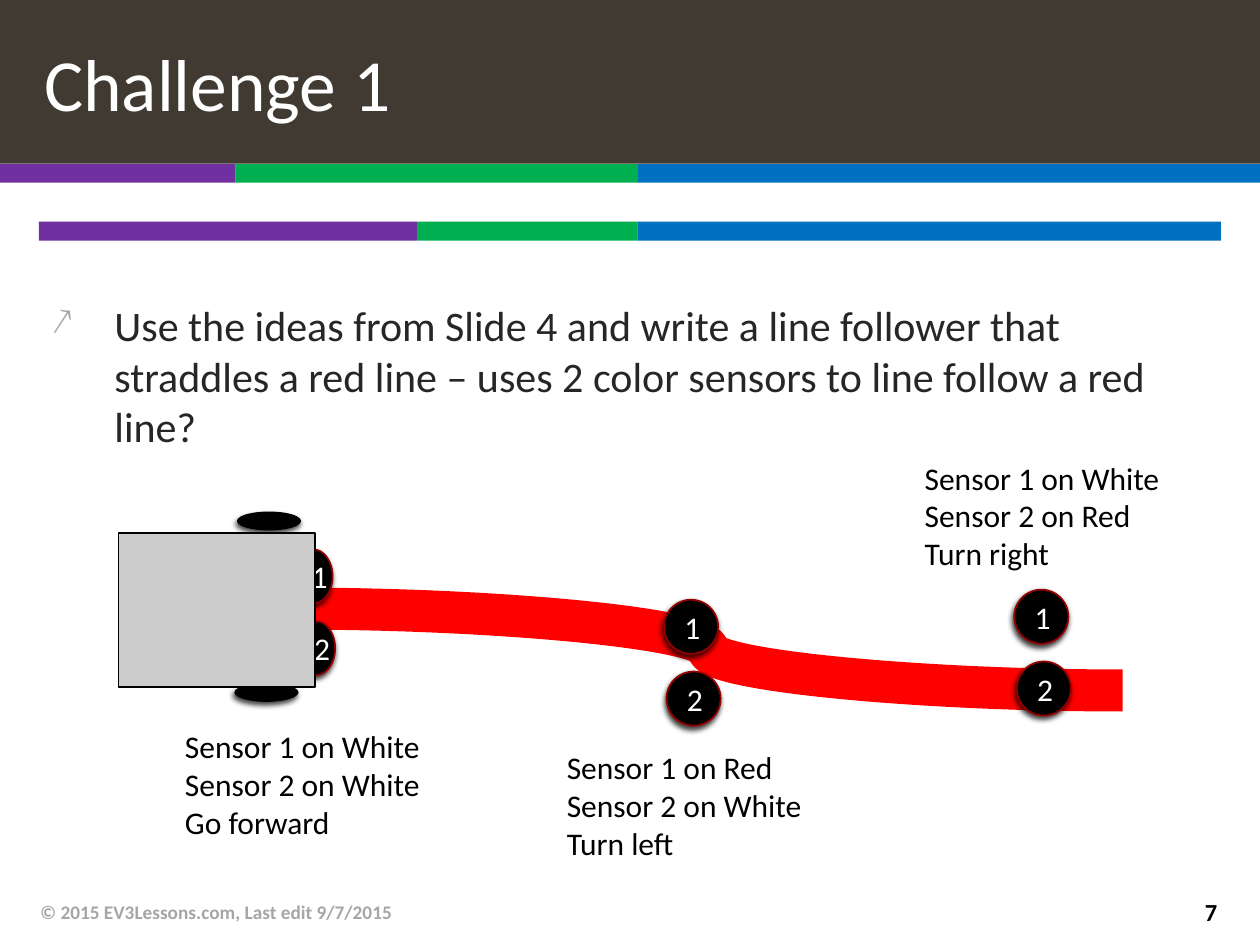
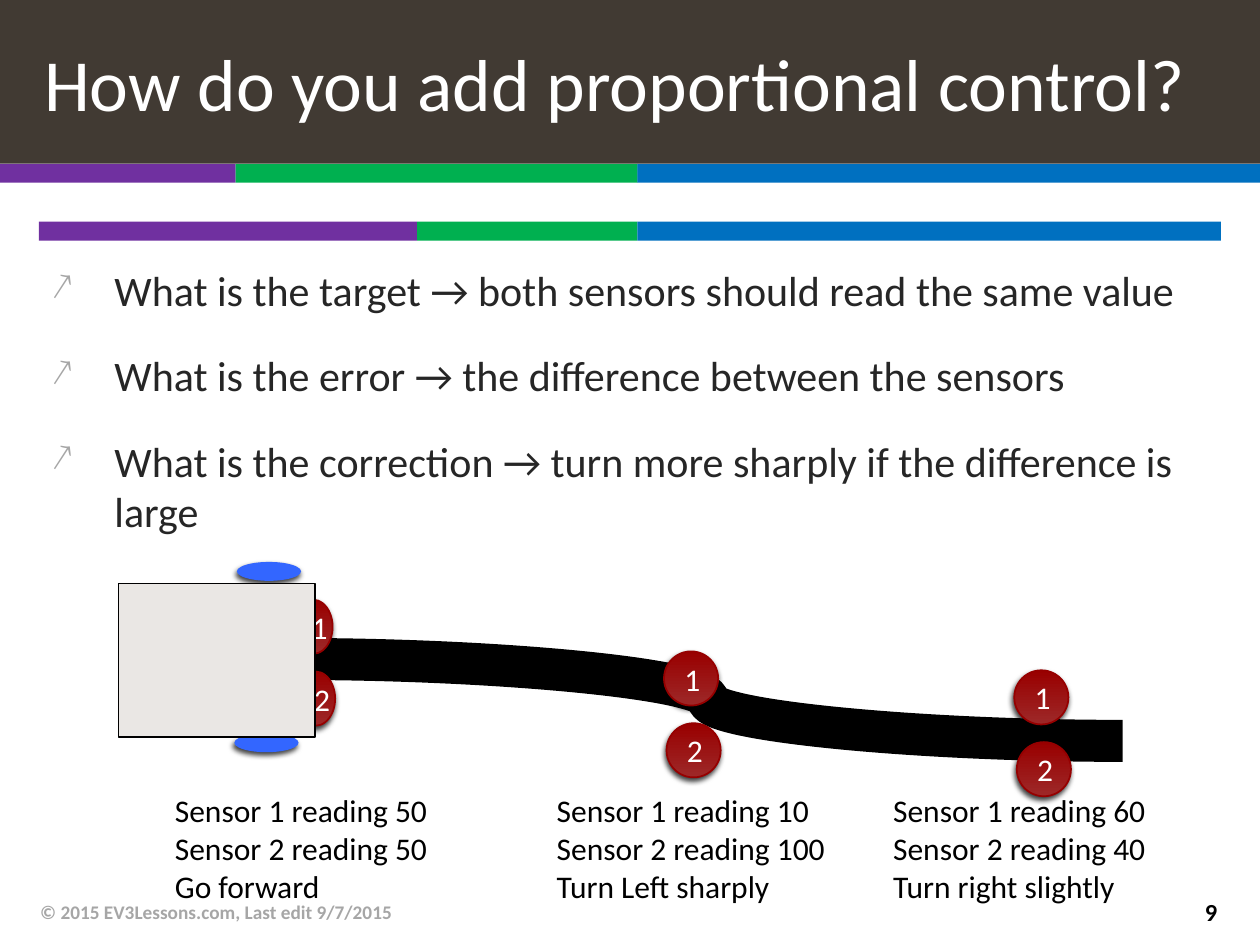
from dataclasses import dataclass
from typing import Optional

from lxml import etree
from pptx import Presentation
from pptx import util as u
from pptx.dml.color import RGBColor
from pptx.enum import shapes, text
from pptx.oxml.ns import qn

FONT = "Calibri"
WHITE, BLACK, GREY, INK = "FFFFFF", "000000", "A6A6A6", "262626"
TITLE_BAR, SENSOR_EDGE = "413A33", "960000"
BAND_COLORS = ("7030A0", "00B050", "0070C0")
FOOTER = "© 2015 EV3Lessons.com, Last edit 9/7/2015"
RECTANGLE = shapes.MSO_SHAPE.RECTANGLE
OVAL = shapes.MSO_SHAPE.OVAL
LEFT, CENTER, RIGHT = text.PP_ALIGN.LEFT, text.PP_ALIGN.CENTER, text.PP_ALIGN.RIGHT
SENSOR_SIZE = 0.43


@dataclass(frozen=True)
class Box:
    left: float
    top: float
    width: float
    height: float

    def lengths(self) -> list:
        return [u.Inches(v) for v in (self.left, self.top, self.width, self.height)]


@dataclass(frozen=True)
class Style:
    size: float
    color: str
    bold: bool = False
    align: text.PP_ALIGN = LEFT


@dataclass(frozen=True)
class Band:
    top: float
    edges: tuple


@dataclass(frozen=True)
class SensorPair:
    left: float
    top: float


@dataclass(frozen=True)
class Label:
    left: float
    top: float
    width: float
    lines: tuple


@dataclass(frozen=True)
class Palette:
    track: str
    sensor: tuple
    wheel: str
    robot: str


@dataclass(frozen=True)
class Lesson:
    number: int
    title: str
    body: Box
    bullets: tuple
    track_top: float
    palette: Palette
    sensors: tuple
    labels: tuple


TITLE_STYLE = Style(42, WHITE)
BODY_STYLE = Style(24, INK)
LABEL_STYLE = Style(18, BLACK)
SENSOR_STYLE = Style(18, WHITE, align=CENTER)
FOOTER_STYLE = Style(11, GREY, bold=True)
NUMBER_STYLE = Style(14, BLACK, bold=True, align=RIGHT)

BANDS = (
    Band(1.3, (0, 1.87, 5.06, 10)),
    Band(1.76, (0.31, 3.31, 5.06, 9.69)),
)

LESSONS = (
    Lesson(
        7, "Challenge 1", Box(0.31, 2.33, 9.38, 1.36),
        ("Use the ideas from Slide 4 and write a line follower that straddles a red line "
         "– uses 2 color sensors to line follow a red line?",),
        4.83, Palette("FF0000", (BLACK,), BLACK, "CCCCCC"),
        (SensorPair(5.27, 4.76), SensorPair(8.05, 4.68)),
        (
            Label(1.37, 5.72, 2.6, ("Sensor 1 on White", "Sensor 2 on White", "Go forward")),
            Label(4.4, 5.89, 2.51, ("Sensor 1 on Red", "Sensor 2 on White", "Turn left")),
            Label(7.24, 3.59, 2.21, ("Sensor 1 on White", "Sensor 2 on Red", "Turn right")),
        ),
    ),
    Lesson(
        9, "How do you add proportional control?", Box(0.31, 2.05, 9.38, 2.83),
        ("What is the target → both sensors should read the same value",
         "What is the error → the difference between the sensors",
         "What is the correction → turn more sharply if the difference is large"),
        5.23, Palette(BLACK, ("9D2828", "990000"), "3366FF", "EAE7E4"),
        (SensorPair(5.27, 5.17), SensorPair(8.05, 5.32)),
        (
            Label(1.29, 6.23, 2.6, ("Sensor 1 reading 50", "Sensor 2 reading 50", "Go forward")),
            Label(4.32, 6.23, 2.51, ("Sensor 1 reading 10", "Sensor 2 reading 100", "Turn Left sharply")),
            Label(6.99, 6.23, 2.21, ("Sensor 1 reading 60", "Sensor 2 reading 40", "Turn right slightly")),
        ),
    ),
)


def rgb(color: str) -> RGBColor:
    return RGBColor.from_string(color)


def write(paragraph, words: str, style: Style) -> None:
    paragraph.alignment = style.align
    run = paragraph.add_run()
    run.text = words
    run.font.name = FONT
    run.font.size = u.Pt(style.size)
    run.font.bold = style.bold
    run.font.color.rgb = rgb(style.color)


def add_text(slide, box: Box, lines: tuple, style: Style, anchor=text.MSO_ANCHOR.TOP):
    frame = slide.shapes.add_textbox(*box.lengths()).text_frame
    frame.word_wrap = True
    frame.vertical_anchor = anchor
    for index, line in enumerate(lines):
        paragraph = frame.add_paragraph() if index else frame.paragraphs[0]
        write(paragraph, line, style)
    return frame


def add_shape(slide, kind, box: Box, fill: tuple, line: Optional[str] = None):
    shape = slide.shapes.add_shape(kind, *box.lengths())
    shape.shadow.inherit = False
    if len(fill) == 1:
        shape.fill.solid()
        shape.fill.fore_color.rgb = rgb(fill[0])
    else:
        shape.fill.gradient()
        shape.fill.gradient_angle = 90
        for stop, color in zip(shape.fill.gradient_stops, fill):
            stop.color.rgb = rgb(color)
    if line:
        shape.line.color.rgb = rgb(line)
        shape.line.width = u.Pt(1)
    else:
        shape.line.fill.background()
    return shape


def add_shadow(shape) -> None:
    effects = shape._element.spPr.find(qn("a:effectLst"))
    shadow = etree.SubElement(effects, qn("a:outerShdw"), blurRad=str(u.Pt(3)),
                              dist=str(u.Pt(2)), dir=str(110 * 60000), rotWithShape="0")
    color = etree.SubElement(shadow, qn("a:srgbClr"), val=BLACK)
    etree.SubElement(color, qn("a:alpha"), val="75000")


def add_bullet(paragraph) -> None:
    properties = paragraph._p.get_or_add_pPr()
    properties.set("marL", str(u.Inches(0.5)))
    properties.set("indent", str(-u.Inches(0.5)))
    color = etree.SubElement(properties, qn("a:buClr"))
    etree.SubElement(color, qn("a:srgbClr"), val=GREY)
    etree.SubElement(properties, qn("a:buSzPct"), val="90000")
    etree.SubElement(properties, qn("a:buChar"), char="↗")


def add_frame(slide, lesson: Lesson) -> None:
    for band in BANDS:
        for start, end, color in zip(band.edges, band.edges[1:], BAND_COLORS):
            add_shape(slide, RECTANGLE, Box(start, band.top, end - start, 0.15), (color,))
    middle = text.MSO_ANCHOR.MIDDLE
    add_text(slide, Box(0.22, 7.04, 6.7, 0.4), (FOOTER,), FOOTER_STYLE, middle)
    add_text(slide, Box(9.07, 7.04, 0.69, 0.39), (str(lesson.number),), NUMBER_STYLE, middle)
    title = add_shape(slide, RECTANGLE, Box(0, 0, 10, 1.3), (TITLE_BAR,))
    title.text_frame.margin_left = u.Inches(0.35)
    write(title.text_frame.paragraphs[0], lesson.title, TITLE_STYLE)


def add_bullets(slide, lesson: Lesson) -> None:
    frame = add_text(slide, lesson.body, lesson.bullets, BODY_STYLE)
    for index, paragraph in enumerate(frame.paragraphs):
        add_bullet(paragraph)
        if index:
            paragraph.space_before = u.Pt(20)


def add_track(slide, top: float, color: str) -> None:
    ends = [u.Inches(v) for v in (2.33, top, 8.91, top + 0.65)]
    track = slide.shapes.add_connector(shapes.MSO_CONNECTOR.CURVE, *ends)
    track.line.color.rgb = rgb(color)
    track.line.width = u.Pt(24)
    etree.SubElement(track._element.spPr, qn("a:effectLst"))


def add_sensors(slide, pair: SensorPair, fill: tuple, width: float = SENSOR_SIZE) -> None:
    for index in range(2):
        box = Box(pair.left + 0.02 * index, pair.top + 0.57 * index, width, SENSOR_SIZE)
        sensor = add_shape(slide, OVAL, box, fill, SENSOR_EDGE)
        add_shadow(sensor)
        write(sensor.text_frame.paragraphs[0], str(index + 1), SENSOR_STYLE)


def add_robot(slide, track_top: float, palette: Palette) -> None:
    top = track_top - 0.6
    add_sensors(slide, SensorPair(2.33, top + 0.13), palette.sensor, 0.31)
    for left, offset in ((1.88, -0.17), (1.86, 1.19)):
        wheel = add_shape(slide, OVAL, Box(left, top + offset, 0.51, 0.15), (palette.wheel,))
        add_shadow(wheel)
    add_shape(slide, RECTANGLE, Box(0.94, top, 1.56, 1.22), (palette.robot,), BLACK)


def add_lesson(presentation, lesson: Lesson) -> None:
    slide = presentation.slides.add_slide(presentation.slide_layouts[6])
    add_frame(slide, lesson)
    add_bullets(slide, lesson)
    add_track(slide, lesson.track_top, lesson.palette.track)
    add_robot(slide, lesson.track_top, lesson.palette)
    for pair in lesson.sensors:
        add_sensors(slide, pair, lesson.palette.sensor)
    for label in lesson.labels:
        add_text(slide, Box(label.left, label.top, label.width, 1.01), label.lines, LABEL_STYLE)


def main() -> None:
    presentation = Presentation()
    presentation.slide_width = u.Inches(10)
    presentation.slide_height = u.Inches(7.5)
    for lesson in LESSONS:
        add_lesson(presentation, lesson)
    presentation.save("out.pptx")


if __name__ == "__main__":
    main()
